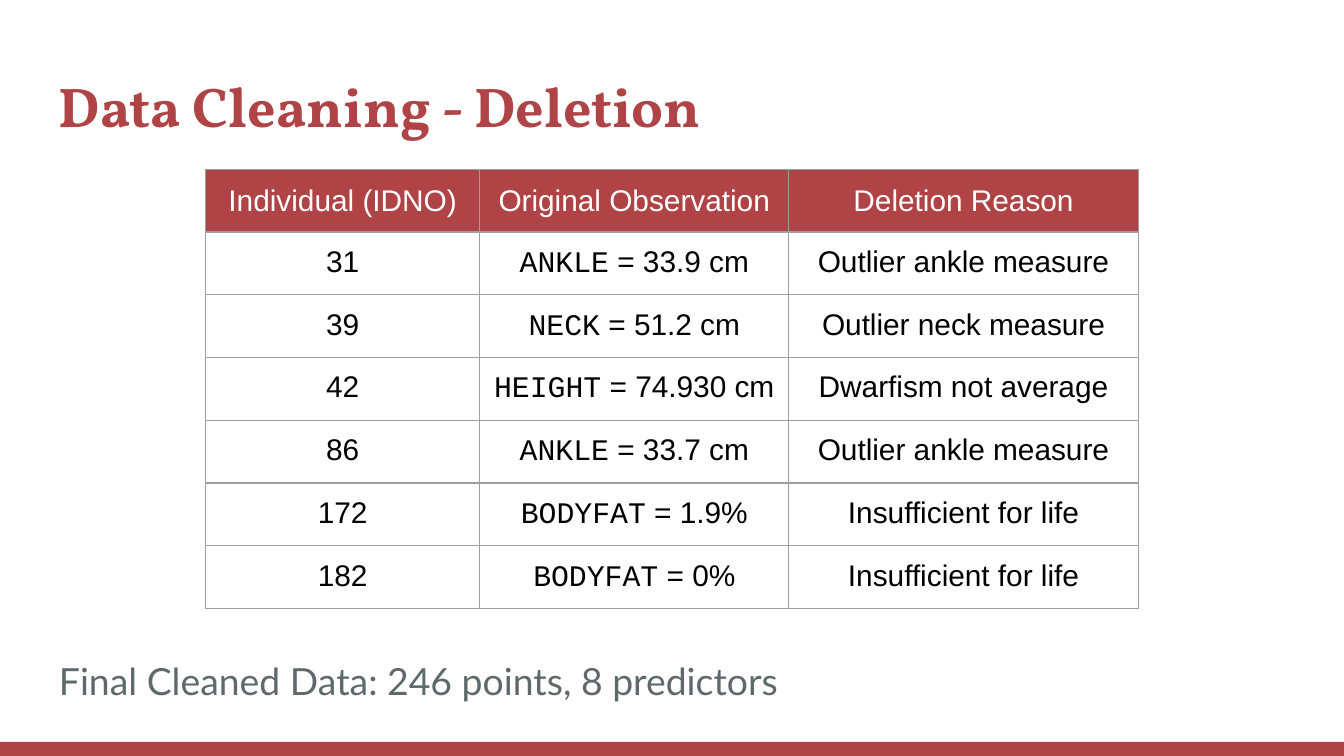
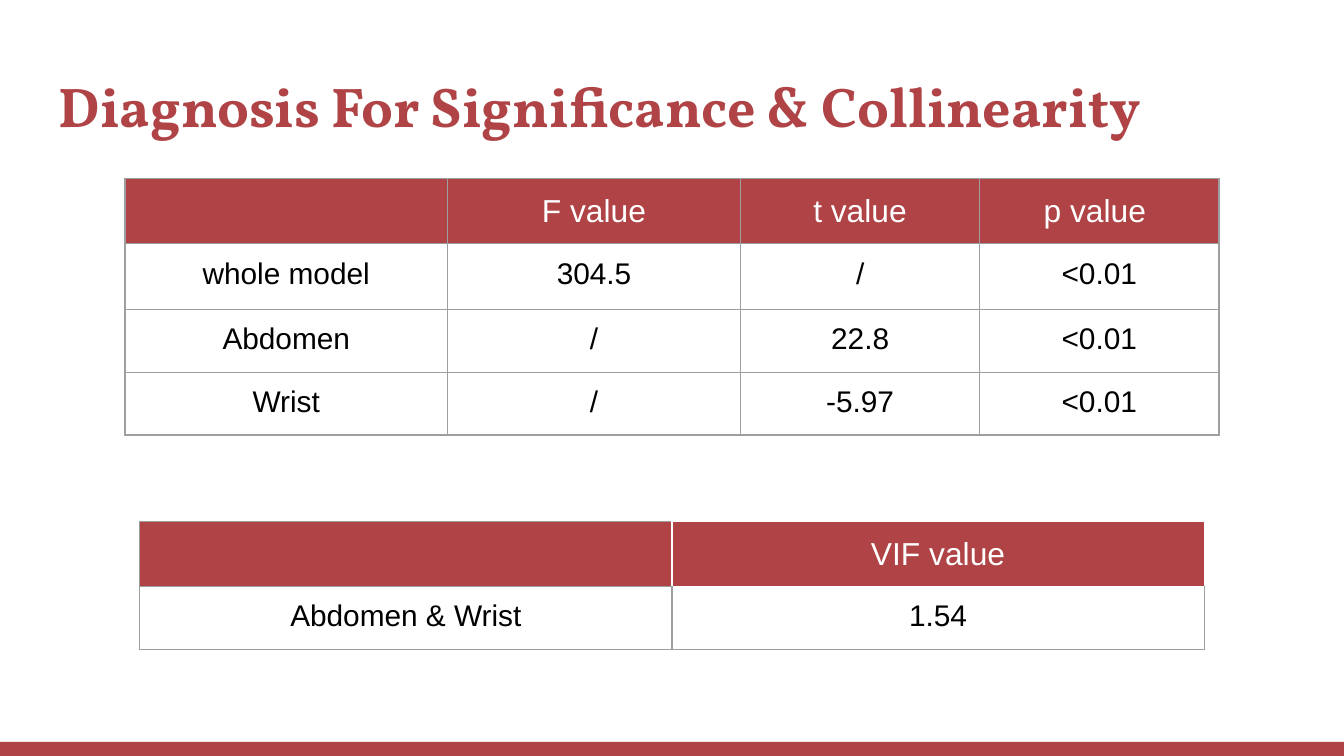
from lxml.etree import SubElement
from pptx import Presentation
from pptx.dml.color import RGBColor
from pptx.enum.shapes import MSO_SHAPE
from pptx.enum.text import MSO_ANCHOR, PP_ALIGN
from pptx.oxml.ns import qn
from pptx.util import Inches, Pt

RED = "AF4345"
SLATE = "5E696C"
GREY = "9E9E9E"
WHITE = "FFFFFF"
BLACK = "000000"


def rgb(color):
    return RGBColor.from_string(color)


def write(frame, text, size, color, font="Arial", bold=False, align=PP_ALIGN.LEFT,
          line_spacing=None, space_after=None):
    """Write one paragraph; a (code, rest) pair sets its first part in Courier New."""
    para = frame.paragraphs[0]
    para.alignment = align
    if line_spacing is not None:
        para.line_spacing = line_spacing
    if space_after is not None:
        para.space_after = Pt(space_after)
    spans = [(text, font)] if isinstance(text, str) else zip(text, ("Courier New", font))
    for words, name in spans:
        span = para.add_run()
        span.text = words
        span.font.name = name
        span.font.size = Pt(size)
        span.font.bold = bold
        span.font.color.rgb = rgb(color)


def set_margins(target):
    target.margin_left = target.margin_right = Inches(0.1)
    target.margin_top = target.margin_bottom = Inches(0.1)


def add_borders(cell, white_sides):
    """Draw the four cell edges in grey, except the named sides in white."""
    properties = cell._tc.get_or_add_tcPr()
    for side in "LRTB":
        line = SubElement(properties, qn(f"a:ln{side}"), w=str(Pt(0.75)))
        fill = SubElement(line, qn("a:solidFill"))
        SubElement(fill, qn("a:srgbClr"), val=WHITE if side in white_sides else GREY)


class Report:
    """Holds the deck's style and the page being built."""

    def __init__(self):
        self.deck = Presentation()
        self.deck.slide_width = Inches(10)
        self.deck.slide_height = Inches(5.625)
        self.page = None

    def add_page(self, title):
        self.page = self.deck.slides.add_slide(self.deck.slide_layouts[6])
        band = self.page.shapes.add_shape(
            MSO_SHAPE.RECTANGLE, 0, Inches(5.52), Inches(10), Inches(0.11))
        band.shadow.inherit = False
        band.fill.solid()
        band.fill.fore_color.rgb = rgb(RED)
        band.line.fill.background()
        self.add_text(title, 0.43, 0.68, size=30, color=RED, font="Vollkorn", bold=True)

    def add_text(self, text, top, height, **style):
        box = self.page.shapes.add_textbox(
            Inches(0.34), Inches(top), Inches(9.32), Inches(height))
        box.text_frame.word_wrap = True
        set_margins(box.text_frame)
        write(box.text_frame, text, **style)

    def add_table(self, left, top, widths, heights, rows, header_size=17, white_edges=None):
        """white_edges maps (row, column) to the sides drawn in white."""
        frame = self.page.shapes.add_table(
            len(rows), len(widths), Inches(left), Inches(top),
            Inches(sum(widths)), Inches(sum(heights)))
        table = frame.table
        table.horz_banding = False
        for column, width in zip(table.columns, widths):
            column.width = Inches(width)
        for row, height in zip(table.rows, heights):
            row.height = Inches(height)
        for i, values in enumerate(rows):
            for j, text in enumerate(values):
                cell = table.cell(i, j)
                add_borders(cell, (white_edges or {}).get((i, j), ""))
                self.fill_cell(cell, text, i == 0, header_size)

    def fill_cell(self, cell, text, is_header, header_size):
        if is_header:
            cell.fill.solid()
            cell.fill.fore_color.rgb = rgb(RED)
            cell.vertical_anchor = MSO_ANCHOR.MIDDLE
        else:
            cell.fill.background()
        if text:
            set_margins(cell)
            write(cell.text_frame, text, size=header_size if is_header else 16,
                  color=WHITE if is_header else BLACK, align=PP_ALIGN.CENTER)


def build_deletion(report):
    report.add_page("Data Cleaning - Deletion")
    report.add_table(
        1.53, 1.26, [2.04, 2.3, 2.6], [0.45] + [0.46] * 6,
        [
            ["Individual (IDNO)", "Original Observation", "Deletion Reason"],
            ["31", ("ANKLE", " = 33.9 cm"), "Outlier ankle measure"],
            ["39", ("NECK", " = 51.2 cm"), "Outlier neck measure"],
            ["42", ("HEIGHT", " = 74.930 cm"), "Dwarfism not average"],
            ["86", ("ANKLE", " = 33.7 cm"), "Outlier ankle measure"],
            ["172", ("BODYFAT", " = 1.9%"), "Insufficient for life"],
            ["182", ("BODYFAT", " = 0%"), "Insufficient for life"],
        ],
        header_size=16)
    report.add_text("Final Cleaned Data: 246 points, 8 predictors", 4.75, 0.63,
                    size=20, color=SLATE, font="Lato", line_spacing=1.15, space_after=12)


def build_diagnosis(report):
    report.add_page("Diagnosis For Significance & Collinearity")
    report.add_table(
        0.93, 1.33, [2.4, 2.18, 1.78, 1.78], [0.45, 0.49, 0.45, 0.45],
        [
            ["", "F value", "t value", "p value "],
            ["whole model", "304.5", "/", "<0.01"],
            ["Abdomen", "/", "22.8", "<0.01"],
            ["Wrist", "/", "-5.97", "<0.01"],
        ])
    report.add_table(
        1.04, 3.88, [3.96, 3.96], [0.47, 0.45],
        [["", "VIF value"], ["Abdomen & Wrist", "1.54"]],
        white_edges={(0, 0): "R", (0, 1): "LRTB", (1, 1): "T"})


def main():
    report = Report()
    build_deletion(report)
    build_diagnosis(report)
    report.deck.save("out.pptx")


if __name__ == "__main__":
    main()
